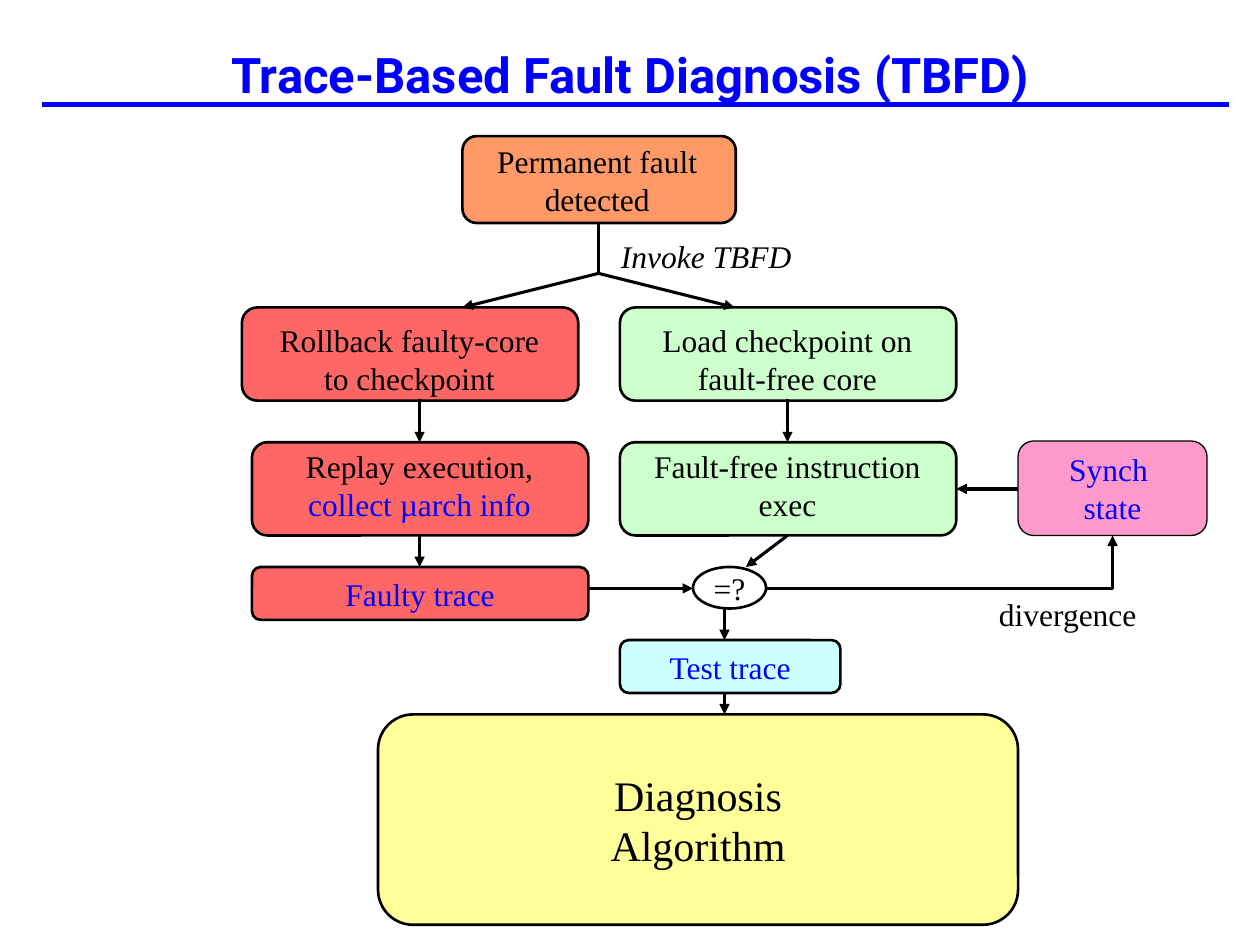
from lxml import etree
from pptx import Presentation
from pptx.dml.color import RGBColor
from pptx.enum.shapes import MSO_CONNECTOR as CONN, MSO_SHAPE as SHAPE
from pptx.enum.text import MSO_ANCHOR as ANCHOR, PP_ALIGN as ALIGN
from pptx.oxml.ns import qn
from pptx.util import Inches, Pt

BLACK = RGBColor(0x00, 0x00, 0x00)
BLUE = RGBColor(0x00, 0x00, 0xFF)
RED = RGBColor(0xFF, 0x66, 0x66)
GREEN = RGBColor(0xCC, 0xFF, 0xCC)
ORANGE = RGBColor(0xFF, 0x99, 0x66)
CYAN = RGBColor(0xCC, 0xFF, 0xFF)
PINK = RGBColor(0xFF, 0x99, 0xCC)
YELLOW = RGBColor(0xFF, 0xFF, 0x99)
SERIF = "Times New Roman"


def write(sp, lines, color=BLACK, size=18, name=SERIF, align=ALIGN.CENTER,
          anchor=ANCHOR.TOP, wrap=True):
    tf = sp.text_frame
    tf.text = "\n".join(lines)
    tf.word_wrap = wrap
    tf.vertical_anchor = anchor
    for p in tf.paragraphs:
        p.alignment = align
        for r in p.runs:
            r.font.name = name
            r.font.size = Pt(size)
            r.font.color.rgb = color
    return tf.paragraphs[0]


def connect(x1, y1, x2, y2, width=1.75, color=BLACK, arrow=True, kind=CONN.STRAIGHT):
    c = s.shapes.add_connector(kind, Inches(x1), Inches(y1), Inches(x2), Inches(y2))
    c.line.color.rgb = color
    c.line.width = Pt(width)
    if arrow:
        etree.SubElement(c.line._get_or_add_ln(), qn("a:tailEnd"), type="triangle")
    etree.SubElement(c._element.spPr, qn("a:effectLst"))
    return c


prs = Presentation()
prs.slide_width = Inches(10)
prs.slide_height = Inches(7.5)
s = prs.slides.add_slide(prs.slide_layouts[6])

connect(0.33, 0.83, 9.75, 0.83, 3, BLUE, arrow=False)
title = s.shapes.add_textbox(Inches(0), Inches(0.17), Inches(10), Inches(0.83))
p = write(title, ["Trace-Based Fault Diagnosis (TBFD)"], BLUE, 28, "Roboto",
          anchor=ANCHOR.MIDDLE)
p.runs[0].font.bold = True

boxes = [
    (3.67, 1.08, 2.17, 0.69, ORANGE, 1.5, [], BLACK, 18),
    (1.92, 2.44, 2.67, 0.74, RED, 1.5, [], BLACK, 18),
    (4.92, 2.44, 2.67, 0.74, GREEN, 1.5, [], BLACK, 18),
    (2, 3.51, 2.67, 0.74, RED, 1.5, [], BLACK, 18),
    (4.92, 3.51, 2.67, 0.74, GREEN, 1.5, [], BLACK, 18),
    (2, 4.5, 2.67, 0.42, RED, 1.5, ["Faulty trace"], BLUE, 18),
    (5.5, 4.5, 0.58, 0.33, None, 1.5, ["=?"], BLACK, 18),
    (4.92, 5.08, 1.75, 0.42, CYAN, 1.5, ["Test trace"], BLUE, 18),
    (8.08, 3.5, 1.5, 0.75, PINK, 0.75, ["Synch ", "state"], BLUE, 18),
    (3, 5.67, 5.08, 1.67, YELLOW, 1.5, ["Diagnosis", "Algorithm"], BLACK, 24),
]
for x, y, w, h, fill, width, lines, color, size in boxes:
    shape = SHAPE.ROUNDED_RECTANGLE if fill else SHAPE.OVAL
    sp = s.shapes.add_shape(shape, Inches(x), Inches(y), Inches(w), Inches(h))
    sp.shadow.inherit = False
    if fill:
        sp.fill.solid()
        sp.fill.fore_color.rgb = fill
    else:
        sp.fill.background()
    sp.line.color.rgb = BLACK
    sp.line.width = Pt(width)
    if lines:
        write(sp, lines, color, size, anchor=ANCHOR.MIDDLE, wrap=False)

labels = [
    (3.73, 1.08, 2.02, 0.7, "Permanent fault detected"),
    (2, 2.5, 2.5, 0.7, "Rollback faulty-core to checkpoint"),
    (5, 2.5, 2.5, 0.7, "Load checkpoint on fault-free core"),
    (2.08, 3.5, 2.5, 0.7, "Replay execution, "),
    (5, 3.5, 2.5, 0.7, "Fault-free instruction exec"),
    (4.83, 1.83, 2.25, 0.4, "Invoke TBFD"),
    (7.83, 4.67, 1.52, 0.4, "divergence"),
]
for x, y, w, h, text in labels:
    sp = s.shapes.add_textbox(Inches(x), Inches(y), Inches(w), Inches(h))
    align = ALIGN.CENTER if h > 0.5 else ALIGN.LEFT
    p = write(sp, [text], align=align, wrap=text != "divergence")
    if text == "Invoke TBFD":
        p.runs[0].font.italic = True
    if text.startswith("Replay"):
        r = p.add_run()
        r.text = "collect µarch info"
        r.font.name = SERIF
        r.font.size = Pt(18)
        r.font.color.rgb = BLUE

connect(4.75, 1.77, 4.75, 2.17, arrow=False)
arrows = [
    (4.75, 2.17, 3.67, 2.44),
    (4.75, 2.17, 5.83, 2.44),
    (3.33, 3.17, 3.33, 3.51),
    (6.25, 3.17, 6.25, 3.51),
    (3.33, 4.25, 3.33, 4.5),
    (6.25, 4.25, 5.92, 4.5),
    (4.67, 4.67, 5.5, 4.67),
    (5.75, 4.83, 5.75, 5.08),
    (5.75, 5.5, 5.75, 5.67),
]
for ends in arrows:
    connect(*ends)
connect(8.08, 3.88, 7.59, 3.88, 2)
bent = connect(6.09, 4.67, 8.83, 4.25, 2, kind=CONN.ELBOW)
bent._element.spPr.find(qn("a:prstGeom")).set("prst", "bentConnector2")

prs.save("out.pptx")
